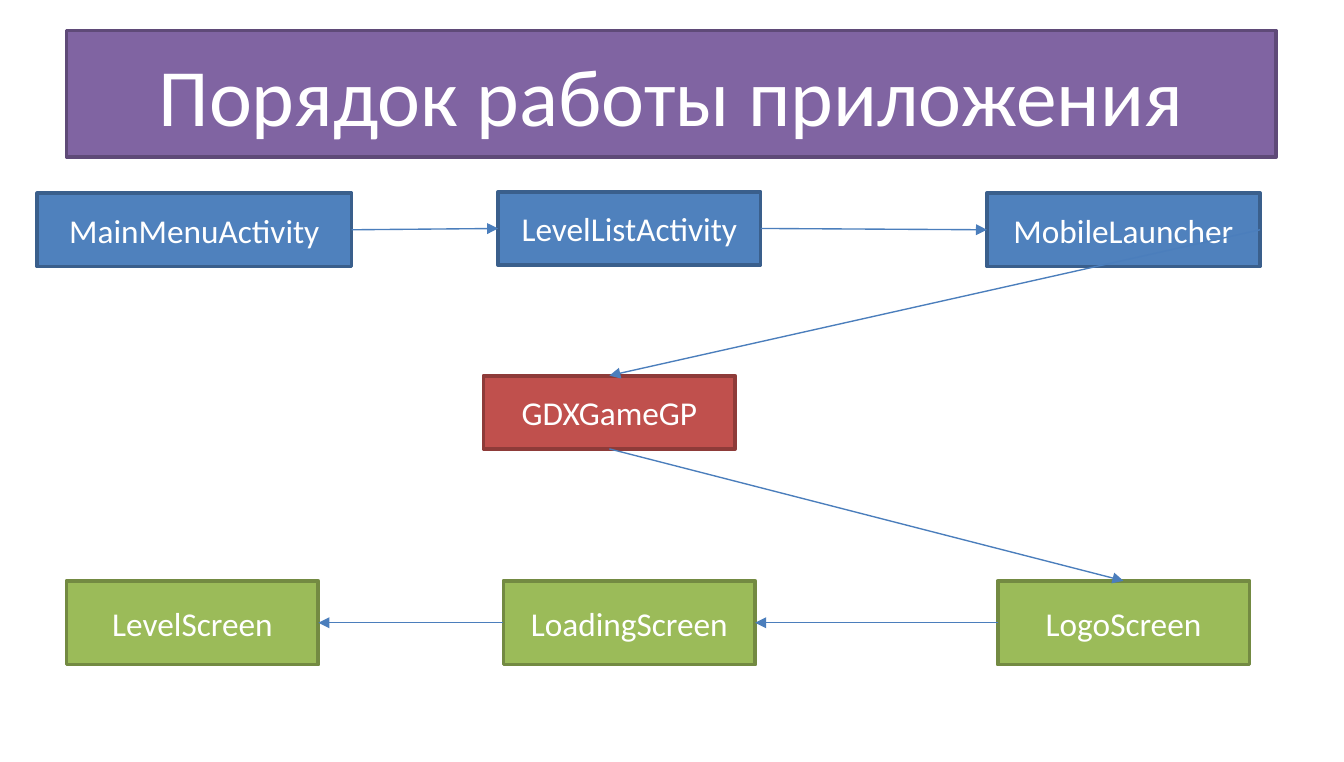
from dataclasses import dataclass

from pptx import Presentation
from pptx.dml.color import RGBColor
from pptx.enum.shapes import MSO_CONNECTOR as CONN, MSO_SHAPE as SHAPE
from pptx.enum.text import MSO_ANCHOR as ANCHOR, MSO_AUTO_SIZE as AUTO, PP_ALIGN as ALIGN
from pptx.oxml.ns import qn
from pptx.util import Inches, Pt
from lxml.etree import SubElement

TOP, LEFT, BOTTOM, RIGHT = range(4)


@dataclass(frozen=True)
class Theme:
    """Colours as fill and outline pairs, font and sizes of the slide."""
    font: str = "Calibri"
    text: str = "FFFFFF"
    title: tuple = ("8064A2", "5F4A78")
    activity: tuple = ("4F81BD", "3A5F8C")
    game: tuple = ("C0504D", "8E3B39")
    screen: tuple = ("9BBB59", "738A42")
    arrow: str = "4B7EBC"
    title_size: int = 44
    box_size: int = 18
    outline: float = 2
    arrow_width: float = 0.75


THEME = Theme()


def rgb(value):
    """Return a colour from its hex value."""
    return RGBColor.from_string(value)


def style_box(sp, text, colours, size):
    """Fill and outline a shape and set its centred text."""
    fill, line = colours
    sp.fill.solid()
    sp.fill.fore_color.rgb = rgb(fill)
    sp.line.color.rgb = rgb(line)
    sp.line.width = Pt(THEME.outline)
    tf = sp.text_frame
    tf.word_wrap = True
    tf.auto_size = AUTO.NONE
    tf.vertical_anchor = ANCHOR.MIDDLE
    p = tf.paragraphs[0]
    p.alignment = ALIGN.CENTER
    r = p.add_run()
    r.text = text
    r.font.name = THEME.font
    r.font.size = Pt(size)
    r.font.color.rgb = rgb(THEME.text)


def add_title(slide, box, text):
    """Place the title banner in the given box."""
    sp = slide.shapes.title
    sp.left, sp.top, sp.width, sp.height = map(Inches, box)
    style_box(sp, text, THEME.title, THEME.title_size)


def add_box(slide, box, text, colours):
    """Add one labelled step of the flow."""
    sp = slide.shapes.add_shape(SHAPE.RECTANGLE, *map(Inches, box))
    sp.shadow.inherit = False
    style_box(sp, text, colours, THEME.box_size)
    return sp


def add_row(slide, box, steps, colours):
    """Add a row of steps, each given as name, offset in the box, and width."""
    left, top, height = box
    return [add_box(slide, (left + dx, top + dy, width, height), name, colours)
            for name, dx, dy, width in steps]


def add_arrow(slide, start, start_site, end, end_site):
    """Join two steps with an arrow glued to their sides."""
    cx = slide.shapes.add_connector(CONN.STRAIGHT, 0, 0, 0, 0)
    cx.begin_connect(start, start_site)
    cx.end_connect(end, end_site)
    cx.line.color.rgb = rgb(THEME.arrow)
    cx.line.width = Pt(THEME.arrow_width)
    SubElement(cx.line._get_or_add_ln(), qn("a:tailEnd"), type="triangle")
    SubElement(cx._element.spPr, qn("a:effectLst"))


def add_flow(slide, left, top):
    """Draw the activities, the game class and the screens with their arrows."""
    menu, levels, launcher = add_row(slide, (left, top, 0.55), [
        ("MainMenuActivity", 0, 0.01, 2.36),
        ("LevelListActivity", 3.46, 0, 1.97),
        ("MobileLauncher", 7.13, 0.01, 2.05),
    ], THEME.activity)
    game, = add_row(slide, (left, top + 1.38, 0.55),
                    [("GDXGameGP", 3.35, 0, 1.89)], THEME.game)
    logo, loading, level = add_row(slide, (left, top + 2.92, 0.63), [
        ("LogoScreen", 7.21, 0, 1.89),
        ("LoadingScreen", 3.5, 0, 1.89),
        ("LevelScreen", 0.22, 0, 1.89),
    ], THEME.screen)
    for link in [
        (menu, RIGHT, levels, LEFT),
        (levels, RIGHT, launcher, LEFT),
        (launcher, RIGHT, game, TOP),
        (game, BOTTOM, logo, TOP),
        (logo, LEFT, loading, RIGHT),
        (loading, LEFT, level, RIGHT),
    ]:
        add_arrow(slide, *link)


def main():
    """Build the slide and save it."""
    prs = Presentation()
    prs.slide_width, prs.slide_height = Inches(10.09), Inches(5.72)
    slide = prs.slides.add_slide(prs.slide_layouts.get_by_name("Title Only"))
    add_title(slide, (0.5, 0.23, 9.08, 0.95), "Порядок работы приложения")
    add_flow(slide, 0.28, 1.44)
    prs.save("out.pptx")


if __name__ == "__main__":
    main()
